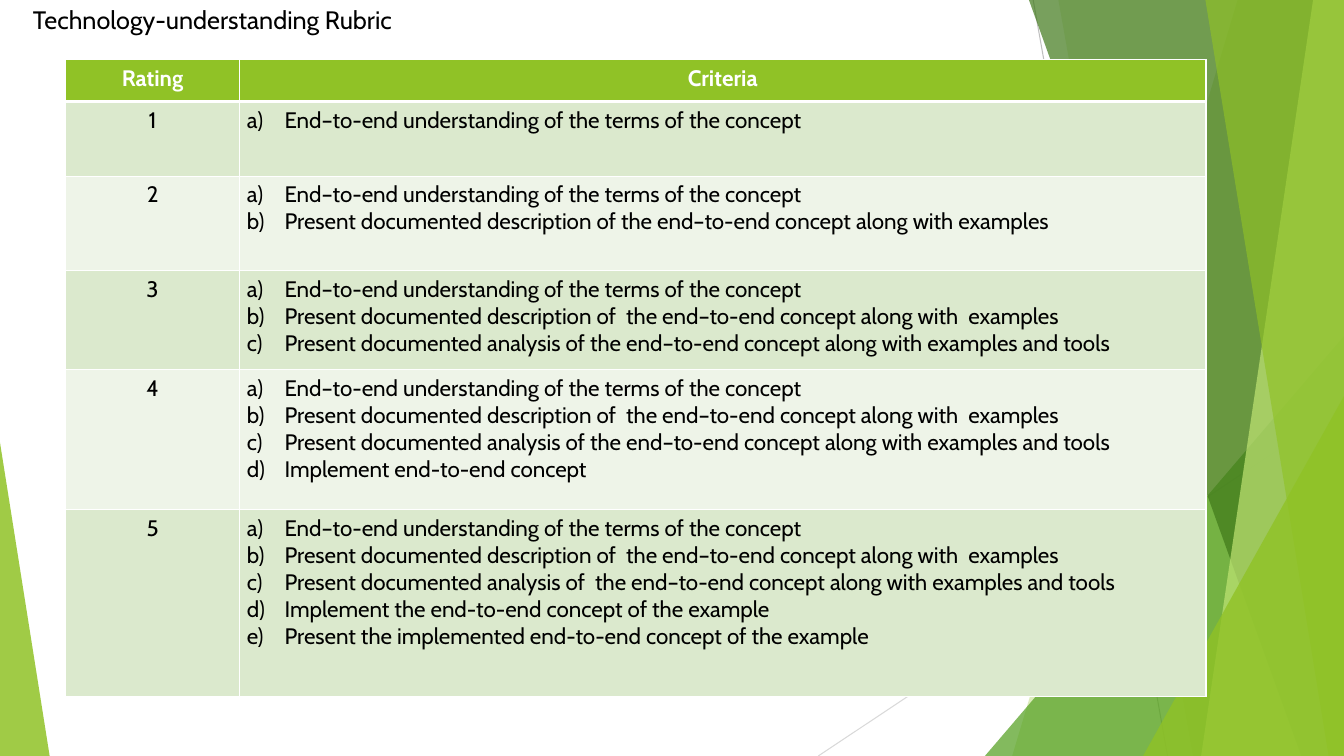
from dataclasses import dataclass

import lxml.etree
import pptx
import pptx.dml.color
import pptx.enum.shapes
import pptx.enum.text
import pptx.oxml.ns
import pptx.util

Pt = pptx.util.Pt
qn = pptx.oxml.ns.qn

WIDTH, HEIGHT = 960, 540
COLORS = {
    "white": "FFFFFF", "black": "000000", "green": "90C226", "leaf": "54A021",
    "forest": "3F7819", "lime": "C0E474", "band": "DBE9CD", "pale": "EEF4E8",
    "gray": "BFBFBF", "silver": "D9D9D9",
}


@dataclass
class GuideLine:
    start: tuple[float, float]
    end: tuple[float, float]
    color: str


@dataclass
class Facet:
    """Full-height facet running to the right edge of the slide."""
    top_x: float
    bottom_x: float
    color: str
    opacity: int


@dataclass
class Corner:
    """Right triangle standing on the bottom edge of the slide."""
    left: float
    top: float
    width: float
    apex: int
    color: str
    opacity: int


@dataclass
class RubricRow:
    height: float
    criteria: list[str]


GUIDE_LINES = [
    GuideLine((738, 0), (834, 540), "gray"),
    GuideLine((960, 290), (584.5, 540), "silver"),
]
DECORATION = [
    Facet(884, 723, "green", 30),
    Facet(756, 852, "green", 20),
    Corner(703.5, 240, 256.5, 1, "leaf", 72),
    Facet(735, 929.5, "forest", 70),
    Facet(938, 858, "lime", 70),
    Facet(861, 949, "green", 65),
    Corner(816.5, 283, 143.5, 1, "green", 80),
    Corner(0, 316, 35.5, 0, "green", 85),
]

UNDERSTAND = "End–to-end understanding of the terms of the concept"
DESCRIBE = "Present documented description of  the end–to-end concept along with  examples"
ANALYSE = "Present documented analysis of the end–to-end concept along with examples and tools"
RUBRIC = [
    RubricRow(53.5, [UNDERSTAND]),
    RubricRow(67.5, [UNDERSTAND, DESCRIBE.replace("  ", " ")]),
    RubricRow(70.5, [UNDERSTAND, DESCRIBE, ANALYSE]),
    RubricRow(100, [UNDERSTAND, DESCRIBE, ANALYSE, "Implement end-to-end concept"]),
    RubricRow(133.5, [UNDERSTAND, DESCRIBE, ANALYSE.replace("of the", "of  the"),
                      "Implement the end-to-end concept of the example",
                      "Present the implemented end-to-end concept of the example"]),
]
HEADER_HEIGHT = 30
COLUMN_WIDTHS = (124, 690.5)
CELL_FORMAT = {"margin_left": Pt(5.3), "margin_right": Pt(5.3),
               "margin_top": Pt(3.6), "margin_bottom": Pt(3.6)}
BODY_FONT = {"name": "Cabin", "size": Pt(16), "bold": False}
HEADER_FONT = BODY_FONT | {"bold": True}
TITLE_FONT = BODY_FONT | {"size": Pt(18)}


def set_attributes(target: object, values: dict) -> None:
    for name, value in values.items():
        setattr(target, name, value)


def rgb(color: str) -> pptx.dml.color.RGBColor:
    return pptx.dml.color.RGBColor.from_string(COLORS[color])


def write(paragraph, text: str, font: dict, color: str = "black") -> None:
    run = paragraph.add_run()
    run.text = text
    set_attributes(run.font, font)
    run.font.color.rgb = rgb(color)


def draw_line(slide, guide: GuideLine) -> None:
    connector = slide.shapes.add_connector(
        pptx.enum.shapes.MSO_CONNECTOR.STRAIGHT,
        *(Pt(value) for value in guide.start + guide.end))
    connector.line.color.rgb = rgb(guide.color)
    connector.line.width = Pt(0.75)
    lxml.etree.SubElement(connector._element.spPr, qn("a:effectLst"))


def draw_decoration(slide, part: Facet | Corner) -> None:
    if isinstance(part, Facet):
        builder = slide.shapes.build_freeform(Pt(part.top_x), 0)
        corners = [(WIDTH, 0), (WIDTH, HEIGHT), (part.bottom_x, HEIGHT)]
        builder.add_line_segments([(Pt(x), Pt(y)) for x, y in corners], close=True)
        shape = builder.convert_to_shape()
    else:
        shape = slide.shapes.add_shape(
            pptx.enum.shapes.MSO_SHAPE.ISOSCELES_TRIANGLE, Pt(part.left),
            Pt(part.top), Pt(part.width), Pt(HEIGHT - part.top))
        shape.adjustments[0] = part.apex
    shape.shadow.inherit = False
    shape.line.fill.background()
    shape.fill.solid()
    shape.fill.fore_color.rgb = rgb(part.color)
    color = shape._element.spPr.find(".//" + qn("a:srgbClr"))
    lxml.etree.SubElement(color, qn("a:alpha"), val=str(part.opacity * 1000))


def style_cell(cell, fill: str, top: int = 1, bottom: int = 1) -> None:
    set_attributes(cell, CELL_FORMAT)
    properties = cell._tc.get_or_add_tcPr()
    for side, width in {"L": 1, "R": 1, "T": top, "B": bottom}.items():
        border = lxml.etree.SubElement(properties, qn(f"a:ln{side}"), w=str(Pt(width)))
        solid = lxml.etree.SubElement(border, qn("a:solidFill"))
        lxml.etree.SubElement(solid, qn("a:srgbClr"), val=COLORS["white"])
    cell.fill.solid()
    cell.fill.fore_color.rgb = rgb(fill)


def write_centered(cell, text: str, font: dict, color: str = "black") -> None:
    paragraph = cell.text_frame.paragraphs[0]
    paragraph.alignment = pptx.enum.text.PP_ALIGN.CENTER
    write(paragraph, text, font, color)


def write_criteria(cell, criteria: list[str]) -> None:
    for index, criterion in enumerate(criteria):
        frame = cell.text_frame
        paragraph = frame.add_paragraph() if index else frame.paragraphs[0]
        properties = paragraph._p.get_or_add_pPr()
        properties.set("marL", str(Pt(27)))
        properties.set("indent", str(Pt(-27)))
        lxml.etree.SubElement(properties, qn("a:buAutoNum"), type="alphaLcParenR")
        write(paragraph, criterion, BODY_FONT)


def draw_rubric(slide) -> None:
    heights = [HEADER_HEIGHT] + [row.height for row in RUBRIC]
    table = slide.shapes.add_table(
        len(heights), len(COLUMN_WIDTHS), Pt(47), Pt(42.5),
        Pt(sum(COLUMN_WIDTHS)), Pt(sum(heights))).table
    for column, width in zip(table.columns, COLUMN_WIDTHS):
        column.width = Pt(width)
    for row, height in zip(table.rows, heights):
        row.height = Pt(height)
    for cell, heading in zip(table.rows[0].cells, ("Rating", "Criteria")):
        style_cell(cell, "green", bottom=3)
        write_centered(cell, heading, HEADER_FONT, "white")
    for rating, row in enumerate(RUBRIC, start=1):
        rating_cell, criteria_cell = table.rows[rating].cells
        for cell in (rating_cell, criteria_cell):
            style_cell(cell, "band" if rating % 2 else "pale", top=3 if rating == 1 else 1)
        write_centered(rating_cell, str(rating), BODY_FONT)
        write_criteria(criteria_cell, row.criteria)


presentation = pptx.Presentation()
presentation.slide_width, presentation.slide_height = Pt(WIDTH), Pt(HEIGHT)
slide = presentation.slides.add_slide(presentation.slide_layouts[6])

# Background decoration
for guide_line in GUIDE_LINES:
    draw_line(slide, guide_line)
for decoration in DECORATION:
    draw_decoration(slide, decoration)

# Rubric table
draw_rubric(slide)

# Title
title = slide.shapes.add_textbox(Pt(16.5), Pt(-0.5), Pt(384.5), Pt(29))
title.text_frame.word_wrap = True
write(title.text_frame.paragraphs[0], "Technology-understanding Rubric", TITLE_FONT)

presentation.save("out.pptx")
